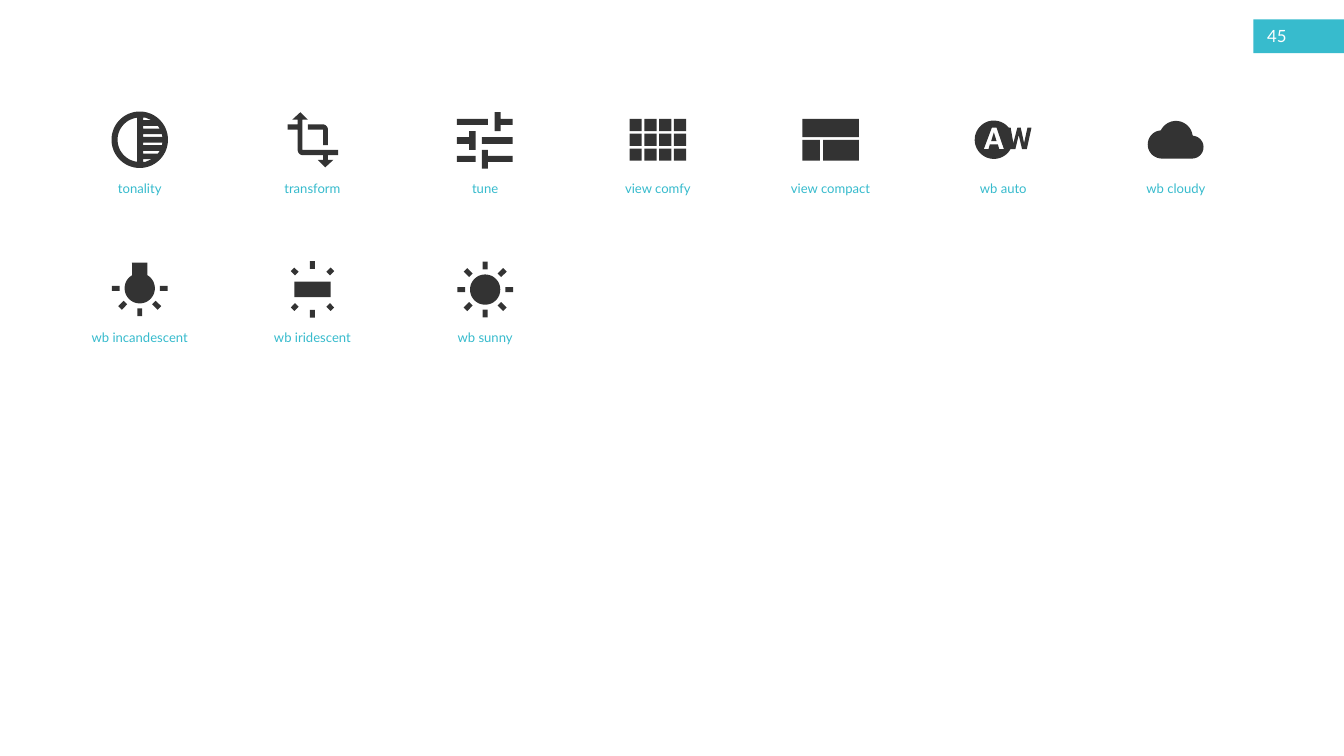
import math

from pptx import Presentation
from pptx import util as u
from pptx.dml.color import RGBColor
from pptx.enum import shapes, text

ACCENT, DARK, WHITE = "37BBCD", "333333", "FFFFFF"
FONT = "Lato"
COLUMNS = 7
LEFT, TOP = 2.08, 2.08  # centre of the first icon
COLUMN_STEP, ROW_STEP = 2.57, 2.22
LABEL_WIDTH, LABEL_HEIGHT, LABEL_DROP = 2.78, 0.34, 0.56
UNITS = 1000  # freeform units per inch


def color(hex_value):
    return RGBColor.from_string(hex_value)


def paint(shape, fill):
    shape.fill.solid()
    shape.fill.fore_color.rgb = color(fill)
    shape.line.fill.background()
    shape.shadow.inherit = False


def add_text(slide, content, left, top, width, height, *, size, fill,
             align=text.PP_ALIGN.LEFT, anchor=text.MSO_ANCHOR.TOP, grow=False):
    box = slide.shapes.add_textbox(*map(u.Inches, (left, top, width, height)))
    frame = box.text_frame
    frame.word_wrap = True
    frame.vertical_anchor = anchor
    if grow:
        frame.auto_size = text.MSO_AUTO_SIZE.SHAPE_TO_FIT_TEXT
    paragraph = frame.paragraphs[0]
    paragraph.text = content
    paragraph.alignment = align
    paragraph.font.name = FONT
    paragraph.font.size = u.Pt(size)
    paragraph.font.color.rgb = color(fill)


def add_icon(slide, contours, center_x, center_y):
    """Draw closed outlines, in inches from the icon's centre, as one shape."""
    scaled = [[(x * UNITS, y * UNITS) for x, y in points] for points in contours]
    builder = slide.shapes.build_freeform(*scaled[0][0], scale=u.Inches(1) / UNITS)
    for index, (start, *rest) in enumerate(scaled):
        if index:
            builder.move_to(*start)
        builder.add_line_segments(rest, close=True)
    paint(builder.convert_to_shape(u.Inches(center_x), u.Inches(center_y)), DARK)


# Outlines: each function returns the points of one closed contour
def rect(left, top, right, bottom):
    return [(left, top), (right, top), (right, bottom), (left, bottom)]


def arc(x, y, radius, start, end):
    steps = max(4, round(abs(end - start) / 6))
    angles = [math.radians(start + (end - start) * i / steps) for i in range(steps + 1)]
    return [(x + radius * math.cos(a), y + radius * math.sin(a)) for a in angles]


def circle(x, y, radius):
    return arc(x, y, radius, 0, 360)[:-1]


def tee(far, near, top, bottom, tip, bar_top, bar_bottom):
    return [(far, top), (near, top), (near, bar_top), (tip, bar_top),
            (tip, bar_bottom), (near, bar_bottom), (near, bottom), (far, bottom)]


def rays(angles, center_y=0, inner=0.3, outer=0.415, half_width=0.037):
    contours = []
    for angle in angles:
        cos, sin = math.cos(math.radians(angle)), math.sin(math.radians(angle))
        contours.append([(r * cos - w * sin, center_y + r * sin + w * cos)
                         for r, w in rect(inner, -half_width, outer, half_width)])
    return contours


# Icons
def tonality():
    slots = []
    for i in range(6):
        top = -0.33 + 0.124 * i
        edge = [(math.sqrt(0.34 ** 2 - y ** 2), y) for y in (top, top + 0.04)]
        slots.append([(0.05, top), *edge, (0.05, top + 0.04)])
    return [circle(0, 0, 0.42), arc(0, 0, 0.33, 97, 263), *slots]


def transform():
    frame = [(0.38, 0.23), (0.38, 0.15), (-0.15, 0.15), (-0.15, -0.3), (-0.07, -0.3),
             (-0.18, -0.41), (-0.3, -0.3), (-0.22, -0.3), (-0.22, -0.23),
             (-0.37, -0.23), (-0.37, -0.15), (-0.22, -0.15),
             *arc(-0.14, 0.15, 0.08, 180, 90), (0.16, 0.23), (0.16, 0.3),
             (0.08, 0.3), (0.19, 0.41), (0.31, 0.3), (0.23, 0.3), (0.23, 0.23)]
    corner = [(-0.07, -0.15), (0.16, -0.15), (0.16, 0.08), (0.23, 0.08),
              *arc(0.15, -0.15, 0.08, 0, -90), (-0.07, -0.23)]
    return [frame, corner]


def tune():
    return [rect(-0.42, -0.31, 0.04, -0.22), tee(0.14, 0.23, -0.41, -0.13, 0.41, -0.31, -0.22),
            tee(-0.14, -0.24, -0.13, 0.15, -0.42, -0.04, 0.06), rect(-0.05, -0.04, 0.41, 0.06),
            rect(-0.42, 0.24, -0.14, 0.33), tee(-0.05, 0.04, 0.15, 0.43, 0.41, 0.24, 0.33)]


def view_comfy():
    step, side = 0.22, 0.18
    corners = [(-0.42 + step * i, -0.31 + step * j) for j in range(3) for i in range(4)]
    return [rect(x, y, x + side, y + side) for x, y in corners]


def view_compact():
    return [rect(-0.42, -0.31, 0.42, -0.04), rect(-0.42, 0, -0.16, 0.31),
            rect(-0.11, 0, 0.42, 0.31)]


def wb_auto():
    disc_and_w = [*arc(-0.14, 0, 0.285, -39, -332), (0.12, 0.14), (0.18, 0.14),
                  (0.23, -0.07), (0.28, 0.14), (0.35, 0.14), (0.42, -0.18),
                  (0.36, -0.18), (0.31, 0.05), (0.26, -0.18), (0.21, -0.18),
                  (0.15, 0.05), (0.11, -0.18)]
    letter_a = [(-0.06, 0.14), (-0.08, 0.07), (-0.2, 0.07), (-0.22, 0.14),
                (-0.29, 0.14), (-0.17, -0.18), (-0.1, -0.18), (0.01, 0.14)]
    return [disc_and_w, letter_a, [(-0.18, 0.02), (-0.1, 0.02), (-0.14, -0.11)]]


def wb_cloudy():
    return [[*arc(0, -0.03, 0.25, -9, -154), *arc(-0.21, 0.07, 0.21, -106, -270),
             *arc(0.24, 0.11, 0.17, 90, -86)]]


def wb_incandescent():
    bulb = [*arc(0, -0.01, 0.225, -60, 240), (-0.115, -0.39), (0.115, -0.39)]
    return [bulb, *rays(range(0, 181, 45), -0.01)]


def wb_iridescent():
    return [rect(-0.27, -0.11, 0.27, 0.12),
            *rays((-90, 90), 0.005, 0.305, 0.42),
            *rays((45, 135, 225, 315), 0.005, 0.33, 0.42)]


def wb_sunny():
    return [circle(0, 0.01, 0.225), *rays(range(0, 360, 45), 0.01)]


ICONS = [("tonality", tonality), ("transform", transform), ("tune", tune),
         ("view comfy", view_comfy), ("view compact", view_compact),
         ("wb auto", wb_auto), ("wb cloudy", wb_cloudy),
         ("wb incandescent", wb_incandescent), ("wb iridescent", wb_iridescent),
         ("wb sunny", wb_sunny)]


def add_page_number(slide, number):
    tab = slide.shapes.add_shape(shapes.MSO_SHAPE.RECTANGLE,
                                 *map(u.Inches, (18.65, 0.29, 1.35, 0.5)))
    paint(tab, ACCENT)
    add_text(slide, number, 18.76, 0.28, 0.67, 0.5, size=18, fill=WHITE,
             anchor=text.MSO_ANCHOR.MIDDLE)


def main():
    presentation = Presentation()
    presentation.slide_width = u.Inches(20)
    presentation.slide_height = u.Inches(11.25)
    slide = presentation.slides.add_slide(presentation.slide_layouts[6])

    add_page_number(slide, "45")

    # Icon grid with a label under each icon
    for index, (label, outline) in enumerate(ICONS):
        row, column = divmod(index, COLUMNS)
        x, y = LEFT + COLUMN_STEP * column, TOP + ROW_STEP * row
        add_icon(slide, outline(), x, y)
        add_text(slide, label, x - LABEL_WIDTH / 2, y + LABEL_DROP, LABEL_WIDTH,
                 LABEL_HEIGHT, size=14, fill=ACCENT,
                 align=text.PP_ALIGN.CENTER, grow=True)

    presentation.save("out.pptx")


if __name__ == "__main__":
    main()
